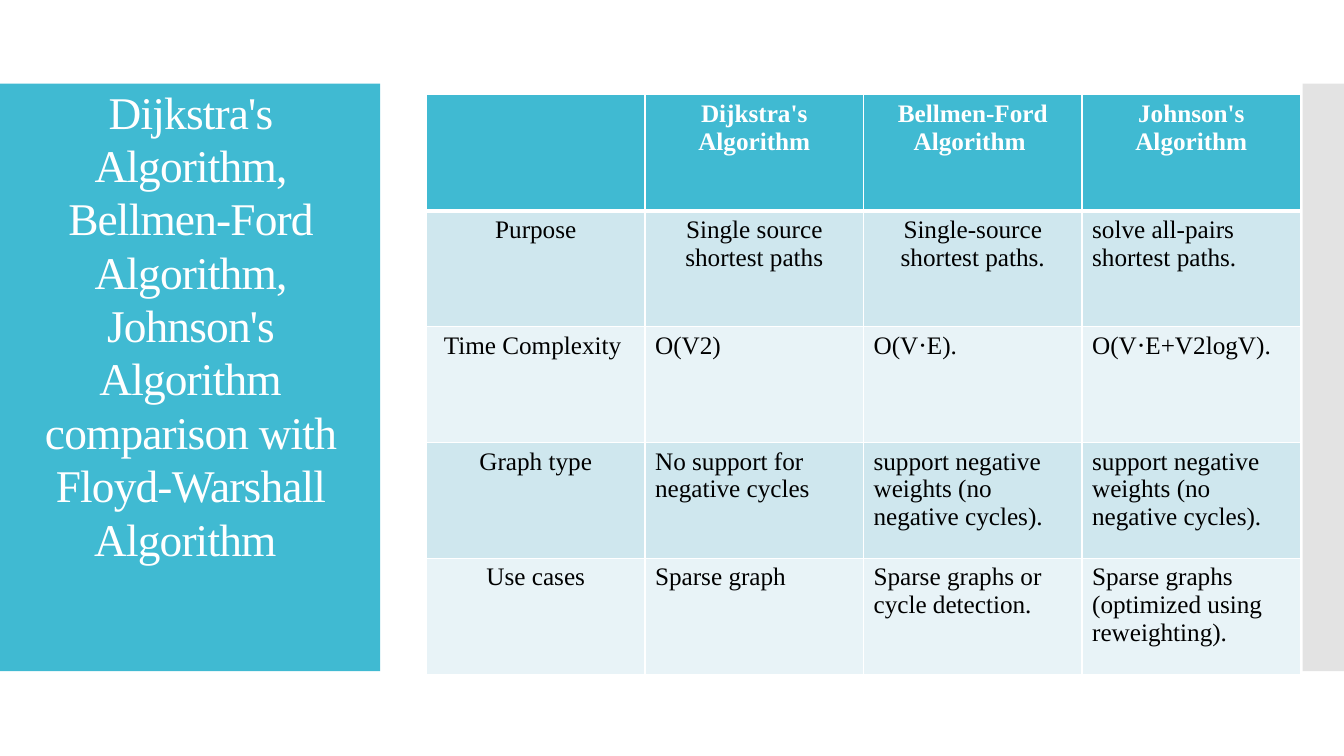
import dataclasses
import typing

import pptx
import pptx.dml.color
import pptx.enum.shapes
import pptx.enum.text
import pptx.oxml
import pptx.oxml.ns
import pptx.util

Inches = pptx.util.Inches
Pt = pptx.util.Pt
Align = pptx.enum.text.PP_ALIGN
qn = pptx.oxml.ns.qn


@dataclasses.dataclass(frozen=True)
class Theme:
    teal: str = "40BAD2"
    grey: str = "C8C8C8"
    white: str = "FFFFFF"
    black: str = "000000"
    bands: tuple[str, str] = ("CFE7EE", "E8F3F7")
    face: str = "Times New Roman"
    title: float = 32.4
    body: float = 18
    thin: float = 1
    thick: float = 3


@dataclasses.dataclass(frozen=True)
class Panel:
    left: float
    width: float
    fill: str
    alpha: int = 100


THEME = Theme()
PANELS = (
    Panel(0, 3.77, THEME.teal),
    Panel(12.92, 0.42, THEME.grey, 50),
)
TITLE = (
    "Dijkstra's Algorithm, Bellmen-Ford Algorithm, Johnson's Algorithm\v"
    "comparison with Floyd-Warshall Algorithm "
)
ROWS = (
    ("", "Dijkstra's Algorithm", "Bellmen-Ford Algorithm ", "Johnson's Algorithm"),
    ("Purpose", "Single source shortest paths", "Single-source shortest paths.",
     "solve all-pairs shortest paths."),
    ("Time Complexity ", "O(V2)", "O(V⋅E).", "O(V⋅E+V2logV)."),
    ("Graph type", "No support for negative cycles",
     "support negative weights (no negative cycles).",
     "support negative weights (no negative cycles)."),
    ("Use cases", "Sparse graph", "Sparse graphs or cycle detection.",
     "Sparse graphs (optimized using reweighting)."),
)


def apply(target: typing.Any, values: dict[str, typing.Any]) -> None:
    for name, value in values.items():
        setattr(target, name, value)


def paint(fill: typing.Any, tone: str) -> None:
    fill.solid()
    fill.fore_color.rgb = pptx.dml.color.RGBColor.from_string(tone)


def style(para: typing.Any, size: float, tone: str, bold: bool = False) -> None:
    for run in para.runs:
        apply(run.font, {"name": THEME.face, "size": Pt(size), "bold": bold})
        paint(run.font.fill, tone)


def draw_panel(slide: typing.Any, panel: Panel) -> None:
    shape = slide.shapes.add_shape(
        pptx.enum.shapes.MSO_SHAPE.RECTANGLE,
        Inches(panel.left), Inches(0.83), Inches(panel.width), Inches(5.83))
    shape.shadow.inherit = False
    shape.line.fill.background()
    paint(shape.fill, panel.fill)
    if panel.alpha < 100:
        tone = next(shape.element.spPr.iter(qn("a:srgbClr")))
        alpha = pptx.oxml.ns.nsdecls("a")
        tone.append(pptx.oxml.parse_xml(
            f'<a:alpha {alpha} val="{panel.alpha * 1000}"/>'))


def draw_title(slide: typing.Any) -> None:
    title = slide.shapes.title
    apply(title, {"left": Inches(0.28), "top": Inches(1.23),
                  "width": Inches(3.22), "height": Inches(5.03)})
    frame = title.text_frame
    frame.text = TITLE
    apply(frame, {
        "word_wrap": True,
        "auto_size": pptx.enum.text.MSO_AUTO_SIZE.NONE,
        "vertical_anchor": pptx.enum.text.MSO_ANCHOR.MIDDLE,
        "margin_top": 0,
        "margin_bottom": Inches(1.01),
    })
    para = frame.paragraphs[0]
    apply(para, {"alignment": Align.CENTER, "line_spacing": 0.98})
    style(para, THEME.title, THEME.white)
    for props in title.element.iter(qn("a:rPr")):
        props.set("spc", "-60")
    slide.shapes[-1].element.addnext(title.element)


def edge(side: str, width: float) -> typing.Any:
    return pptx.oxml.parse_xml(
        f'<a:ln{side} {pptx.oxml.ns.nsdecls("a")} w="{Pt(width)}">'
        f'<a:solidFill><a:srgbClr val="{THEME.white}"/></a:solidFill></a:ln{side}>')


def draw_table(slide: typing.Any) -> None:
    count = len(ROWS[0])
    frame = slide.shapes.add_table(
        len(ROWS), count, Inches(4.23), Inches(0.94), Inches(8.67), Inches(5.75))
    table = frame.table
    for r, texts in enumerate(ROWS):
        head = r == 0
        for c, text in enumerate(texts):
            cell = table.cell(r, c)
            paint(cell.fill, THEME.teal if head else THEME.bands[(r - 1) % 2])
            cell.text = text
            para = cell.text_frame.paragraphs[0]
            mid = head or c == 0 or (r == 1 and c < 3)
            para.alignment = Align.CENTER if mid else Align.LEFT
            style(para, THEME.body, THEME.white if head else THEME.black, head)
    for index, props in enumerate(frame.element.iter(qn("a:tcPr"))):
        row = index // count
        widths = {
            "L": THEME.thin,
            "R": THEME.thin,
            "T": THEME.thick if row == 1 else THEME.thin,
            "B": THEME.thick if row == 0 else THEME.thin,
        }
        for place, (side, width) in enumerate(widths.items()):
            props.insert(place, edge(side, width))


def main() -> None:
    deck = pptx.Presentation()
    apply(deck, {"slide_width": Inches(13.33), "slide_height": Inches(7.5)})
    slide = deck.slides.add_slide(deck.slide_layouts[5])
    for panel in PANELS:
        draw_panel(slide, panel)
    draw_title(slide)
    draw_table(slide)
    deck.save("out.pptx")


if __name__ == "__main__":
    main()
